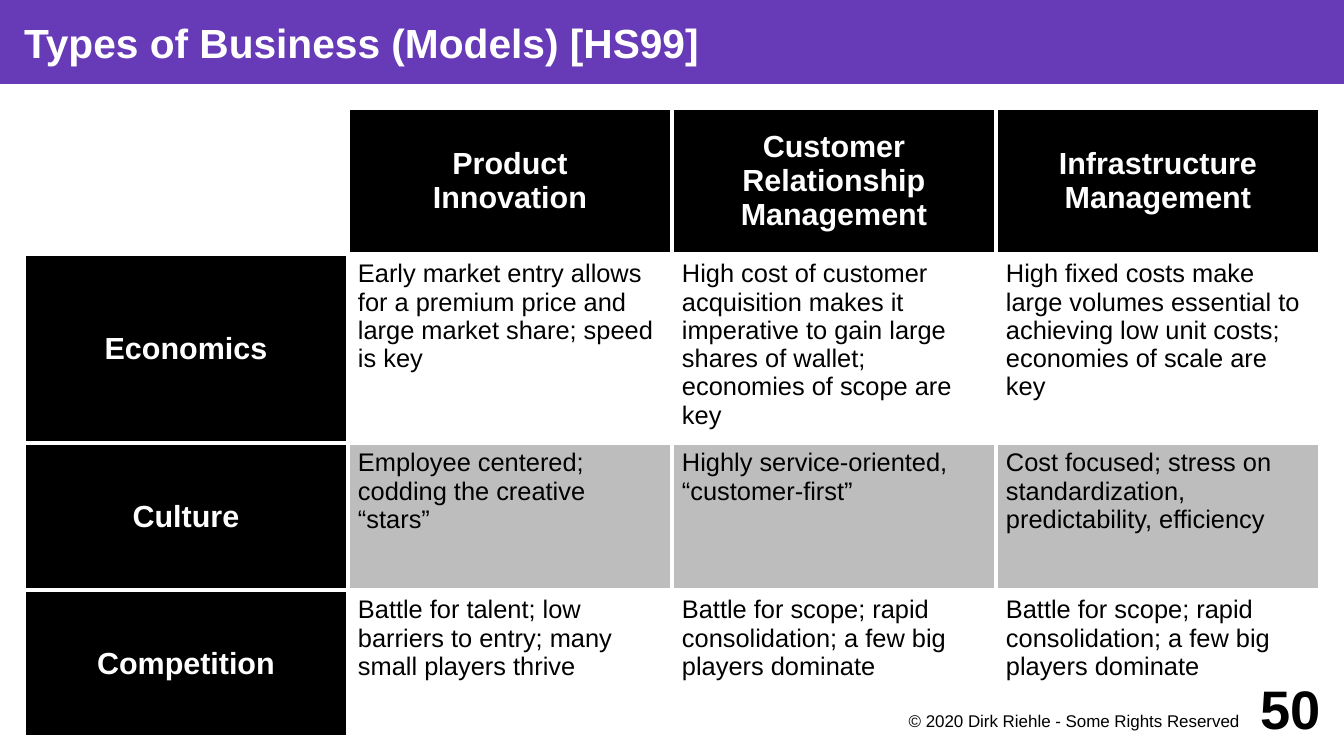
from lxml import etree
from pptx import Presentation
from pptx import util as u
from pptx.dml.color import RGBColor
from pptx.enum import shapes, text
from pptx.oxml import ns

PX = 7495
PURPLE = RGBColor(0x67, 0x3A, 0xB7)
BLACK = RGBColor(0, 0, 0)
WHITE = RGBColor(255, 255, 255)
GRAY = RGBColor(0xBD, 0xBD, 0xBD)
LEFT, CENTER, RIGHT = text.PP_ALIGN.LEFT, text.PP_ALIGN.CENTER, text.PP_ALIGN.RIGHT
TOP, MIDDLE = text.MSO_ANCHOR.TOP, text.MSO_ANCHOR.MIDDLE


def write(frame, words, size, color, bold, align):
    frame.word_wrap = True
    frame.text = words
    look = {"name": "Arial", "size": u.Pt(size), "bold": bold}
    for paragraph in frame.paragraphs:
        paragraph.alignment = align
        for key, value in look.items():
            setattr(paragraph.font, key, value)
        paragraph.font.color.rgb = color


def draw_borders(cell):
    properties = cell._tc.get_or_add_tcPr()
    for place, side in enumerate(("lnL", "lnR", "lnT", "lnB")):
        line = etree.Element(ns.qn(f"a:{side}"), w=str(u.Pt(2.27)))
        fill = etree.SubElement(line, ns.qn("a:solidFill"))
        etree.SubElement(fill, ns.qn("a:srgbClr"), val=str(WHITE))
        properties.insert(place, line)


deck = Presentation()
deck.slide_width, deck.slide_height = 1344 * PX, 756 * PX
slide = deck.slides.add_slide(deck.slide_layouts[6])

title = slide.shapes.add_shape(shapes.MSO_SHAPE.RECTANGLE, 0, 0, 1344 * PX, 84 * PX)
title.shadow.inherit = False
title.fill.solid()
title.fill.fore_color.rgb = PURPLE
title.line.fill.background()
write(title.text_frame, "Types of Business (Models) [HS99]", 24, WHITE, True, LEFT)
title_format = {"margin_left": 24 * PX, "margin_right": 0, "margin_top": 0,
                "margin_bottom": 0, "vertical_anchor": MIDDLE}
for key, value in title_format.items():
    setattr(title.text_frame, key, value)

business_types = [
    ["", "Product\nInnovation", "Customer\nRelationship\nManagement",
     "Infrastructure\nManagement"],
    ["Economics",
     "Early market entry allows for a premium price and large market share; speed is key",
     "High cost of customer acquisition makes it imperative to gain large shares of wallet; "
     "economies of scope are key",
     "High fixed costs make large volumes essential to achieving low unit costs; "
     "economies of scale are key"],
    ["Culture",
     "Employee centered; codding the creative “stars”",
     "Highly service-oriented, “customer-first”",
     "Cost focused; stress on standardization, predictability, efficiency"],
    ["Competition",
     "Battle for talent; low barriers to entry; many small players thrive",
     "Battle for scope; rapid consolidation; a few big players dominate",
     "Battle for scope; rapid consolidation; a few big players dominate"],
]
row_heights = [146, 189, 147, 147]

comparison = slide.shapes.add_table(
    4, 4, 24 * PX, 108 * PX, 1296 * PX, sum(row_heights) * PX).table
comparison.first_row = comparison.horz_banding = False
for column in comparison.columns:
    column.width = 324 * PX
for row, height in zip(comparison.rows, row_heights):
    row.height = height * PX

for r, entries in enumerate(business_types):
    for c, words in enumerate(entries):
        cell = comparison.cell(r, c)
        heading = r == 0 or c == 0
        if heading:
            background = BLACK if words else WHITE
            write(cell.text_frame, words, 18, WHITE, True, CENTER)
        else:
            background = GRAY if r == 2 else WHITE
            write(cell.text_frame, words, 15, BLACK, False, LEFT)
        cell_format = {"margin_left": 10 * PX, "margin_right": 10 * PX,
                       "margin_top": 6 * PX, "margin_bottom": 6 * PX,
                       "vertical_anchor": MIDDLE if heading else TOP}
        for key, value in cell_format.items():
            setattr(cell, key, value)
        cell.fill.solid()
        cell.fill.fore_color.rgb = background
        draw_borders(cell)

footers = [
    ("© 2020 Dirk Riehle - Some Rights Reserved", (865, 709, 384, 37), 10, False, 10, 2, TOP),
    ("50", (1225, 672, 96, 72), 32, True, 0, 0, MIDDLE),
]
for words, box, size, bold, inset_right, inset_top, anchor in footers:
    footer = slide.shapes.add_textbox(*(length * PX for length in box)).text_frame
    write(footer, words, size, BLACK, bold, RIGHT)
    footer_format = {"margin_left": 0, "margin_right": inset_right * PX,
                     "margin_top": inset_top * PX, "margin_bottom": 0,
                     "vertical_anchor": anchor}
    for key, value in footer_format.items():
        setattr(footer, key, value)

deck.save("out.pptx")
